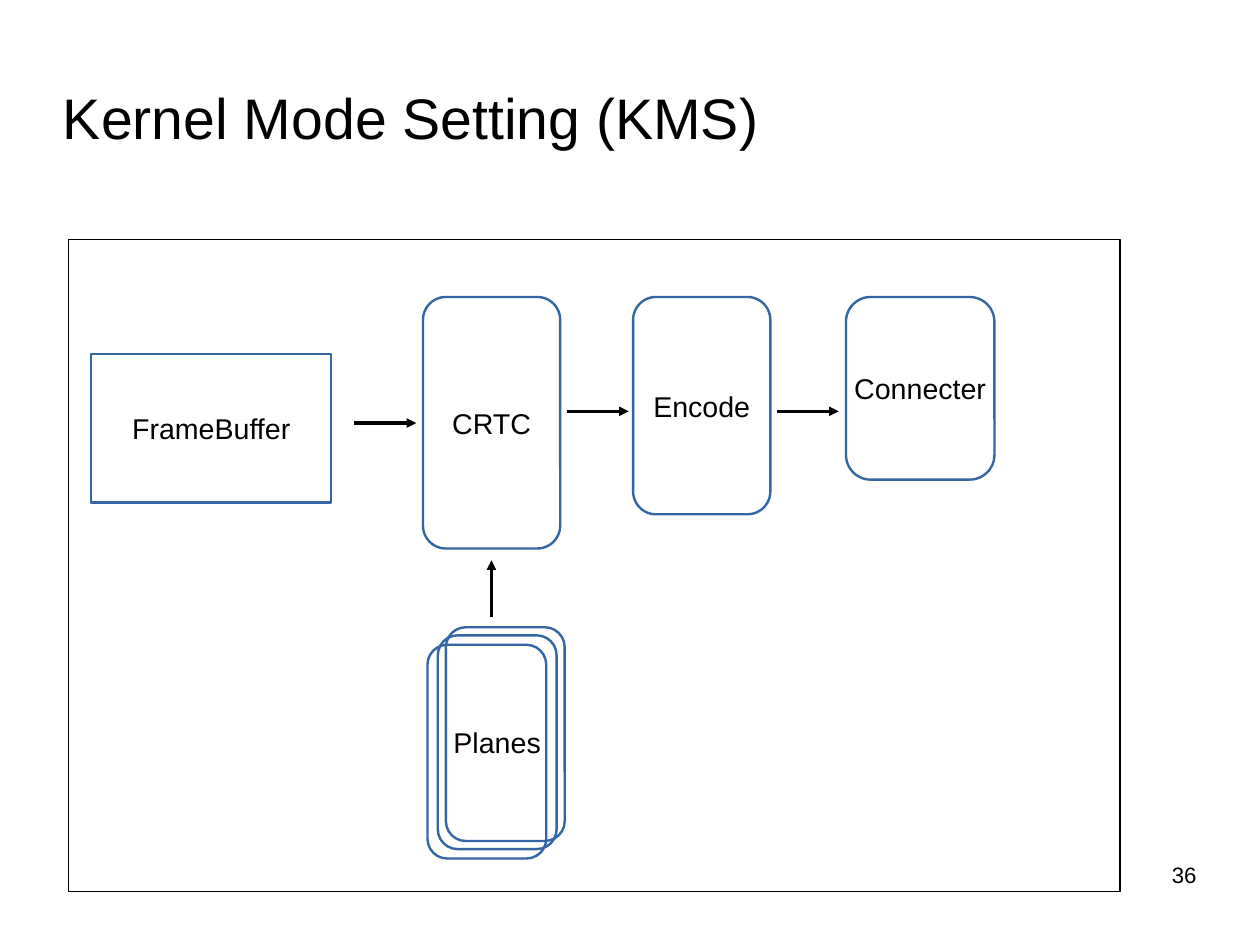
from lxml import etree
from pptx import Presentation
from pptx.dml.color import RGBColor
from pptx.enum.shapes import MSO_CONNECTOR, MSO_SHAPE
from pptx.enum.text import MSO_ANCHOR, PP_ALIGN
from pptx.oxml.ns import qn
from pptx.util import Cm, Pt

RECT, ROUNDED = MSO_SHAPE.RECTANGLE, MSO_SHAPE.ROUNDED_RECTANGLE
STRAIGHT = MSO_CONNECTOR.STRAIGHT
TOP, MIDDLE = MSO_ANCHOR.TOP, MSO_ANCHOR.MIDDLE
LEFT, CENTER, RIGHT = PP_ALIGN.LEFT, PP_ALIGN.CENTER, PP_ALIGN.RIGHT

FONT = "Arial"
BLACK, BLUE = "000000", "3465A4"
HAIRLINE = 0
TITLE_ONLY = 5

# Left, top, width and height in centimetres
STAGES = [
    ("FrameBuffer", RECT, (2.03, 7.87, 5.33, 3.3)),
    ("CRTC", ROUNDED, (9.4, 6.6, 3.05, 5.59)),
    ("Connecter", ROUNDED, (18.8, 6.6, 3.3, 4.06)),
    ("Encode", ROUNDED, (14.07, 6.6, 3.05, 4.83)),
]
PLANE_SIZE = (2.64, 4.75)
PLANES = [("", 9.5, 14.33), ("Planes", 9.73, 14.12), ("", 9.91, 13.94)]
# Start and end points in centimetres
ARROWS = [
    (10.92, 13.72, 10.92, 12.45),
    (12.6, 9.14, 13.97, 9.14),
    (17.27, 9.14, 18.64, 9.14),
    (7.87, 9.4, 9.25, 9.4),
]


def rgb(color):
    return RGBColor.from_string(color)


def cm(values):
    return [Cm(v) for v in values]


def set_text(sp, text, size=18, align=CENTER, anchor=MIDDLE, margins=(0, 0), wrap=True):
    tf = sp.text_frame
    tf.word_wrap = wrap
    tf.vertical_anchor = anchor
    tf.margin_left = tf.margin_right = Cm(margins[0])
    tf.margin_top = tf.margin_bottom = Cm(margins[1])
    p = tf.paragraphs[0]
    p.alignment = align
    r = p.add_run()
    r.text = text
    r.font.name, r.font.size = FONT, Pt(size)
    r.font.color.rgb = rgb(BLACK)


def add_title(s, text, box):
    title = s.shapes.title
    title.left, title.top, title.width, title.height = cm(box)
    set_text(title, text, size=36, align=LEFT)


def add_box(s, kind, box, text="", color=BLUE, width=1.5):
    sp = s.shapes.add_shape(kind, *cm(box))
    sp.shadow.inherit = False
    sp.fill.background()
    sp.line.color.rgb = rgb(color)
    sp.line.width = Pt(width)
    if text:
        set_text(sp, text, margins=(0.28, 0.15), wrap=False)


def add_arrow(s, points):
    line = s.shapes.add_connector(STRAIGHT, *cm(points))
    line.line.color.rgb = rgb(BLACK)
    line.line.width = Pt(HAIRLINE)
    etree.SubElement(line.line._get_or_add_ln(), qn("a:tailEnd"), type="triangle")
    etree.SubElement(line._element.spPr, qn("a:effectLst"))


def main():
    prs = Presentation()
    prs.slide_width, prs.slide_height = Cm(28), Cm(21)
    s = prs.slides.add_slide(prs.slide_layouts[TITLE_ONLY])

    add_title(s, "Kernel Mode Setting (KMS)", (1.4, 1.6, 20, 2))
    for name, kind, box in STAGES:
        add_box(s, kind, box, name)
    for name, left, top in PLANES:
        add_box(s, ROUNDED, (left, top, *PLANE_SIZE), name)
    for points in ARROWS:
        add_arrow(s, points)
    add_box(s, RECT, (1.52, 5.33, 23.37, 14.48), color=BLACK, width=HAIRLINE)

    number = s.shapes.add_textbox(*cm((20.07, 19.13, 6.52, 1.45)))
    set_text(number, "36", size=14, align=RIGHT, anchor=TOP)

    prs.save("out.pptx")


if __name__ == "__main__":
    main()
